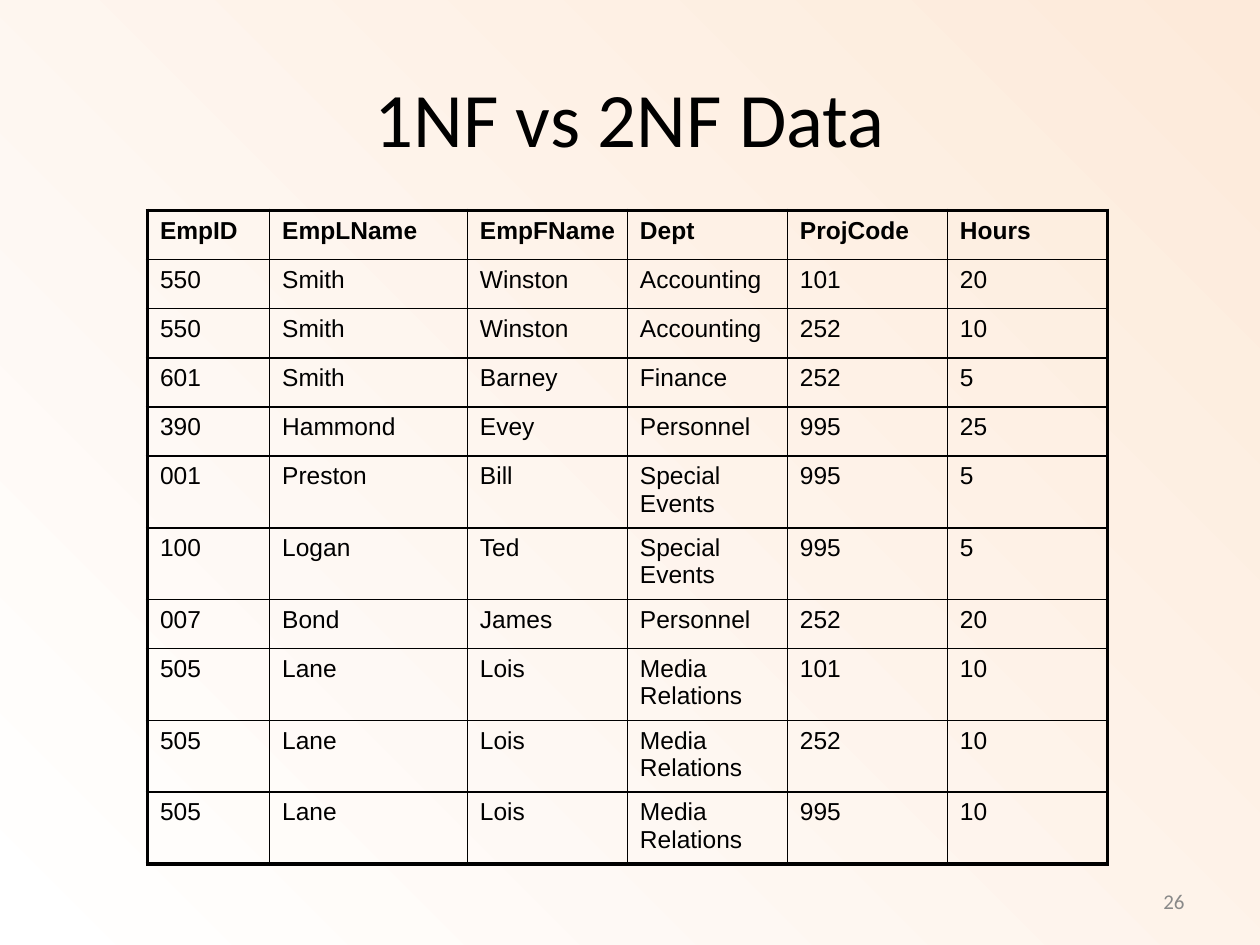
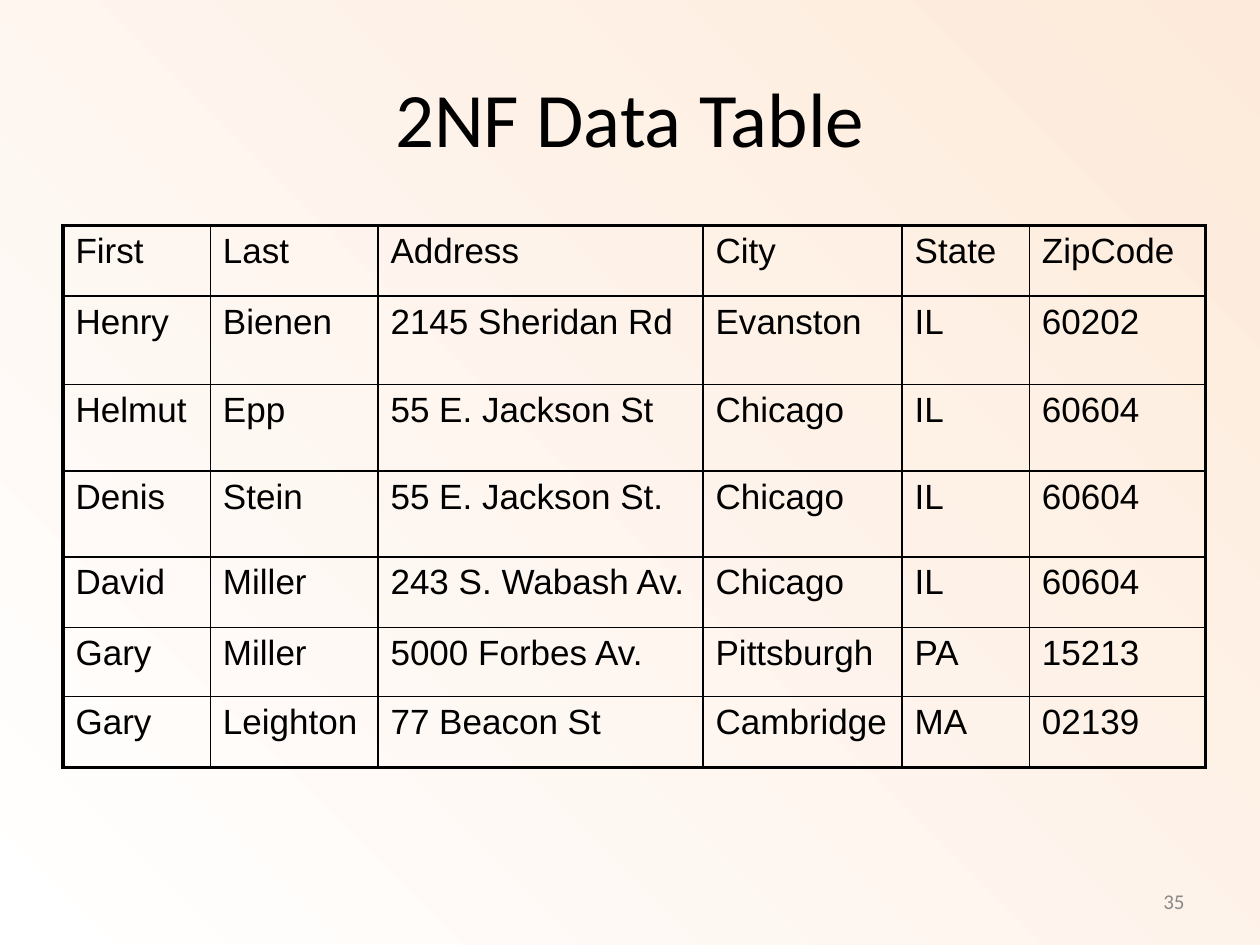
from lxml.etree import SubElement
from pptx import Presentation
from pptx.dml.color import RGBColor
from pptx.enum.text import MSO_ANCHOR as Anchor, PP_ALIGN as Align
from pptx.oxml.ns import qn
from pptx.util import Inches, Pt

BLACK, GREY, WHITE, PEACH = "000000", "898989", "FFFFFF", "FDEADA"
OUTER, INNER = Pt(2.25), Pt(1)


def style_text(frame, font, size, color, align=Align.LEFT, bold=False):
    for para in frame.paragraphs:
        para.alignment = align
        for span in para.runs:
            span.font.name = font
            span.font.size = Pt(size)
            span.font.bold = bold
            span.font.color.rgb = RGBColor.from_string(color)


def set_border(cell, side, width):
    line = SubElement(cell._tc.get_or_add_tcPr(), qn(f"a:ln{side}"), w=str(width))
    fill = SubElement(line, qn("a:solidFill"))
    SubElement(fill, qn("a:srgbClr"), val=BLACK)


slides = [
    {
        "title": "1NF vs 2NF Data",
        "number": "26",
        "origin": (1.17, 1.67),
        "columns": [0.97, 1.57] + [1.27] * 4,
        "heights": [0.39] * 5 + [0.57] * 2 + [0.39] + [0.57] * 3,
        "size": 14,
        "bold_header": True,
        "rows": [
            ("EmpID", "EmpLName", "EmpFName", "Dept", "ProjCode", "Hours"),
            ("550", "Smith", "Winston", "Accounting", "101", "20"),
            ("550", "Smith", "Winston", "Accounting", "252", "10"),
            ("601", "Smith", "Barney", "Finance", "252", "5"),
            ("390", "Hammond", "Evey", "Personnel", "995", "25"),
            ("001", "Preston", "Bill", "Special Events", "995", "5"),
            ("100", "Logan", "Ted", "Special Events", "995", "5"),
            ("007", "Bond", "James", "Personnel", "252", "20"),
            ("505", "Lane", "Lois", "Media Relations", "101", "10"),
            ("505", "Lane", "Lois", "Media Relations", "252", "10"),
            ("505", "Lane", "Lois", "Media Relations", "995", "10"),
        ],
    },
    {
        "title": "2NF Data Table",
        "number": "35",
        "origin": (0.5, 1.79),
        "columns": [1.17, 1.33, 2.58, 1.58, 1.01, 1.4],
        "heights": [0.56, 0.7, 0.69, 0.68, 0.56, 0.55, 0.56],
        "size": 20,
        "bold_header": False,
        "rows": [
            ("First", "Last", "Address", "City", "State", "ZipCode"),
            ("Henry", "Bienen", "2145 Sheridan Rd", "Evanston", "IL", "60202"),
            ("Helmut", "Epp", "55 E. Jackson St", "Chicago", "IL", "60604"),
            ("Denis", "Stein", "55 E. Jackson St.", "Chicago", "IL", "60604"),
            ("David", "Miller", "243 S. Wabash Av.", "Chicago", "IL", "60604"),
            ("Gary", "Miller", "5000 Forbes Av.", "Pittsburgh", "PA", "15213"),
            ("Gary", "Leighton", "77 Beacon St", "Cambridge", "MA", "02139"),
        ],
    },
]

deck = Presentation()
deck.slide_width, deck.slide_height = Inches(10), Inches(7.5)

# Shared background: white in the lower left corner, spreading to peach
master = deck.slide_master
background = master.background.fill
background.gradient()
for stop, color in zip(background.gradient_stops, (WHITE, PEACH)):
    stop.color.rgb = RGBColor.from_string(color)
gradient = next(master.element.iter(qn("a:gradFill")))
gradient.remove(gradient.find(qn("a:lin")))
circle = SubElement(gradient, qn("a:path"), path="circle")
SubElement(circle, qn("a:fillToRect"), t="100000", r="100000")

for content in slides:
    page = deck.slides.add_slide(deck.slide_layouts[6])

    # Title and page number
    for text, place, size, color, align in (
        (content["title"], (0.5, 0.3, 9, 1.25), 44, BLACK, Align.CENTER),
        (content["number"], (7.17, 6.95, 2.33, 0.4), 12, GREY, Align.RIGHT),
    ):
        box = page.shapes.add_textbox(*map(Inches, place))
        frame = box.text_frame
        frame.word_wrap = True
        frame.vertical_anchor = Anchor.MIDDLE
        frame.text = text
        style_text(frame, "Calibri", size, color, align)

    # Table grid
    rows, columns, heights = content["rows"], content["columns"], content["heights"]
    extent = (*content["origin"], sum(columns), sum(heights))
    table = page.shapes.add_table(len(rows), len(columns), *map(Inches, extent)).table
    table.first_row = table.horz_banding = False
    for column, width in zip(table.columns, columns):
        column.width = Inches(width)
    for row, height in zip(table.rows, heights):
        row.height = Inches(height)

    # Cells: heavy outer frame, thin inner lines, no fill
    last_row, last_column = len(rows) - 1, len(columns) - 1
    for r, values in enumerate(rows):
        for c, value in enumerate(values):
            cell = table.cell(r, c)
            cell.text_frame.text = value
            cell.margin_right = Inches(0.08)
            bold = content["bold_header"] and r == 0
            style_text(cell.text_frame, "Arial", content["size"], BLACK, bold=bold)
            edges = {"L": c == 0, "R": c == last_column, "T": r == 0, "B": r == last_row}
            for side, is_outer in edges.items():
                set_border(cell, side, OUTER if is_outer else INNER)
            cell.fill.background()

deck.save("out.pptx")
